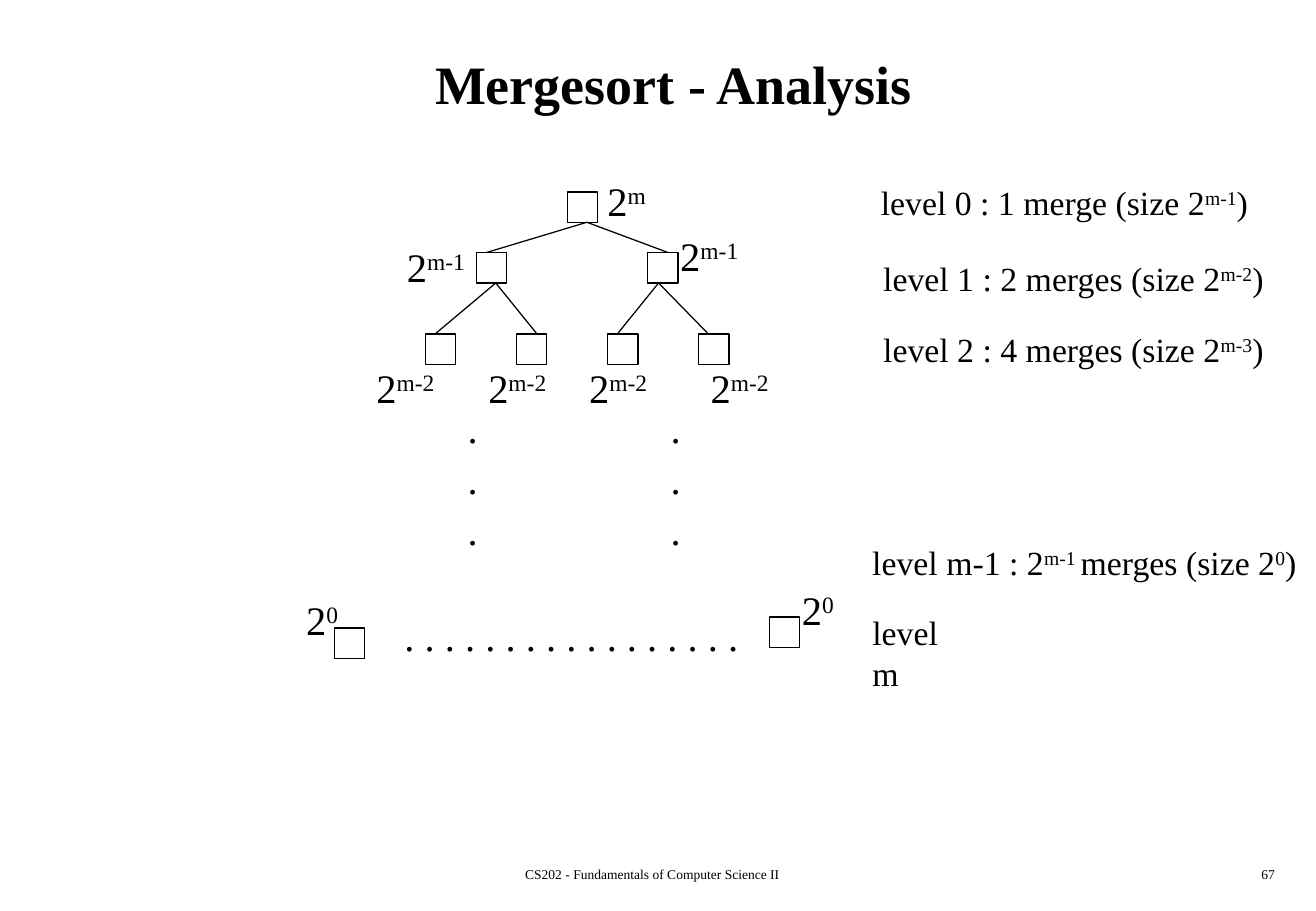
from lxml import etree
from pptx import Presentation
from pptx.dml.color import RGBColor
from pptx.enum.shapes import MSO_CONNECTOR, MSO_SHAPE
from pptx.enum.text import MSO_ANCHOR, PP_ALIGN
from pptx.oxml.ns import qn
from pptx.util import Inches, Pt

LEFT, CENTER, RIGHT = PP_ALIGN.LEFT, PP_ALIGN.CENTER, PP_ALIGN.RIGHT
MIDDLE, TOP = MSO_ANCHOR.MIDDLE, MSO_ANCHOR.TOP
RECT, STRAIGHT = MSO_SHAPE.RECTANGLE, MSO_CONNECTOR.STRAIGHT
BLACK = RGBColor(0, 0, 0)
WHITE = RGBColor(255, 255, 255)
FONT = "Times New Roman"
NODE = 0.25

TITLE = "Mergesort - Analysis"
FOOTER = "CS202 - Fundamentals of Computer Science II"
PAGE = "67"

# Text between a pair of ^ marks is superscript.
NODE_ROWS = [
    (1.58, [4.67]),
    (2.08, [3.92, 5.33]),
    (2.75, [3.5 + 0.75 * i for i in range(4)]),
    (5.08, [6.33]),
    (5.17, [2.75]),
]
BRANCHES = [
    ((4.83, 1.83), 2.08, (4, 5.5)),
    ((4.08, 2.33), 2.75, (3.58, 4.42)),
    ((5.42, 2.33), 2.75, (5.08, 5.83)),
]
SIZE_LABELS = [
    ("2^m^", 4.9, 1.38, 0.54),
    ("2^m-1^", 3.25, 1.92, 0.73),
    ("2^m-1^", 5.5, 1.83, 0.73),
    *[("2^m-2^", x, 2.92, 0.73) for x in (3, 3.92, 4.75, 5.75)],
    ("2^0^", 2.42, 4.83, 0.48),
    ("2^0^", 6.5, 4.75, 0.48),
]
LEVELS = [
    ("level 0 : 1 merge (size 2^m-1^)", 7.15, 1.43, 3.32),
    ("level 1 : 2 merges (size 2^m-2^)", 7.17, 2.05, 3.43),
    ("level 2 : 4 merges (size 2^m-3^)", 7.17, 2.64, 3.43),
    ("level m-1 : 2^m-1 ^merges (size 2^0^)", 7.08, 4.39, 3.8),
    ("level m", 7.08, 4.97, 1.02),
]
DOT_COLUMNS = [3.75, 5.42]
DOT_ROW = ". . . . . . . . . . . . . . . . ."

prs = Presentation()
prs.slide_width, prs.slide_height = Inches(10.83), Inches(7.5)
slide = prs.slides.add_slide(prs.slide_layouts[5])
shapes = slide.shapes


def write(sp, text, size, align=LEFT, anchor=TOP, bold=False, wrap=False,
          inset=0.07, gap=1.4):
    tf = sp.text_frame
    tf.word_wrap = wrap
    tf.vertical_anchor = anchor
    tf.margin_top = Inches(inset)
    for i, line in enumerate(text.split("\n")):
        p = tf.add_paragraph() if i else tf.paragraphs[0]
        p.alignment = align
        p.space_before = Pt(gap if i else 0)
        for j, part in enumerate(line.split("^")):
            if not part:
                continue
            r = p.add_run()
            r.text = part
            r.font.name, r.font.size, r.font.bold = FONT, Pt(size), bold
            r.font.color.rgb = BLACK
            if j % 2:
                r._r.get_or_add_rPr().set("baseline", "30000")


def add_text(text, x, y, w, h, size, **fmt):
    sp = shapes.add_textbox(Inches(x), Inches(y), Inches(w), Inches(h))
    write(sp, text, size, **fmt)


def outline(sp):
    sp.line.color.rgb = BLACK
    sp.line.width = Pt(0.75)


title = shapes.title
title.left, title.top = Inches(0.42), Inches(0.17)
title.width, title.height = Inches(10.25), Inches(1)
write(title, TITLE, 32, align=CENTER, anchor=MIDDLE, bold=True, wrap=True)

add_text(FOOTER, 3.34, 7.08, 4.06, 0.25, 8, align=CENTER, wrap=True, inset=0.05)
add_text(PAGE, 8.33, 7.08, 2.26, 0.25, 8, align=RIGHT, wrap=True, inset=0.05)

for y, columns in NODE_ROWS:
    for x in columns:
        sp = shapes.add_shape(RECT, Inches(x), Inches(y), Inches(NODE), Inches(NODE))
        sp.shadow.inherit = False
        sp.fill.solid()
        sp.fill.fore_color.rgb = WHITE
        outline(sp)

for (x, y), end_y, ends in BRANCHES:
    for end_x in ends:
        line = shapes.add_connector(STRAIGHT, Inches(x), Inches(y),
                                    Inches(end_x), Inches(end_y))
        outline(line)
        etree.SubElement(line._element.spPr, qn("a:effectLst"))

for x in DOT_COLUMNS:
    add_text("\n".join("..."), x, 3.25, 0.28, 1.3, 24)
add_text(DOT_ROW, 3.23, 4.96, 2.95, 0.5, 24)

for text, x, y, w in SIZE_LABELS:
    add_text(text, x, y, w, 0.5, 24)
for text, x, y, w in LEVELS:
    add_text(text, x, y, w, 0.43, 20)

prs.save("out.pptx")
